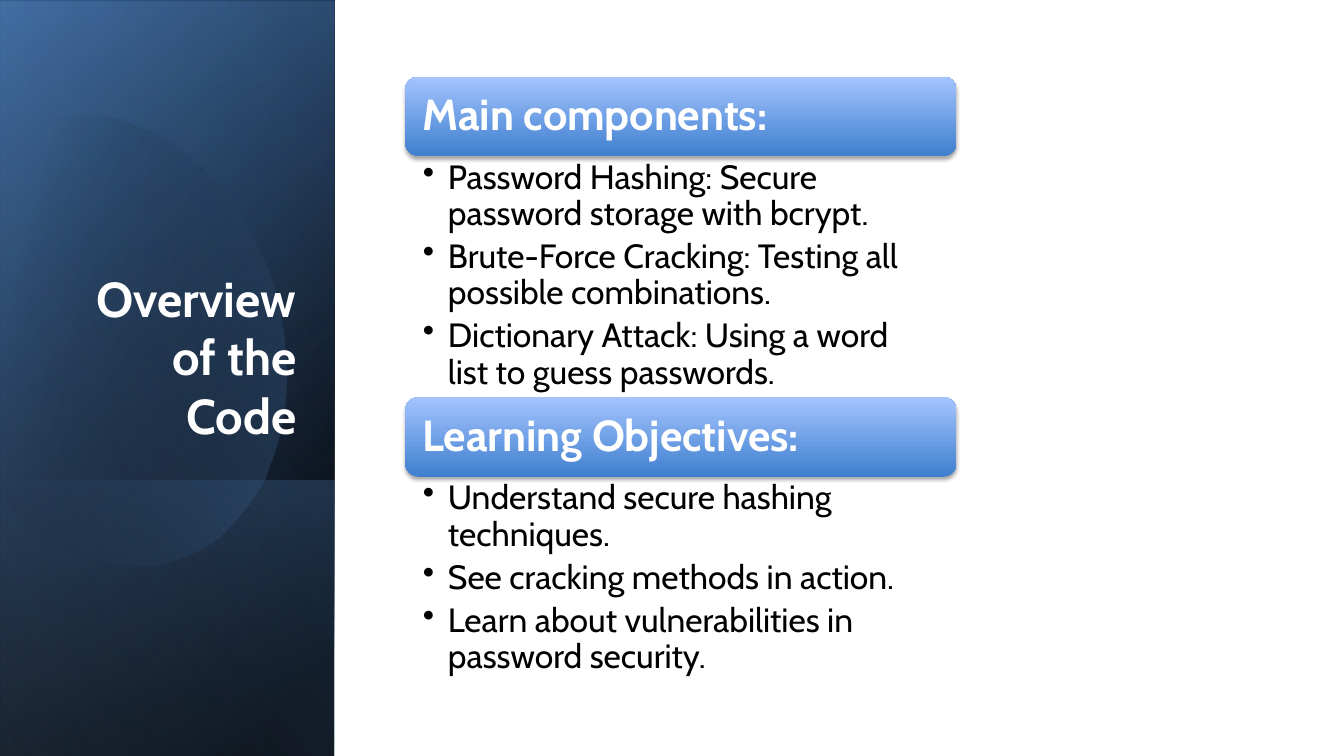
from math import cos, radians, sin

from lxml.etree import SubElement
from pptx import Presentation
from pptx.dml.color import RGBColor
from pptx.enum.shapes import MSO_SHAPE
from pptx.enum.text import MSO_ANCHOR, PP_ALIGN
from pptx.oxml.ns import qn
from pptx.util import Pt

BLACK = RGBColor(0x00, 0x00, 0x00)
WHITE = RGBColor(0xFF, 0xFF, 0xFF)
NAVY = RGBColor(0x37, 0x60, 0x92)
BLUE = RGBColor(0x4F, 0x81, 0xBD)
PALE_BLUE = RGBColor(0x95, 0xB3, 0xD7)
HEADING_DARK = RGBColor(0x3F, 0x7F, 0xCE)
HEADING_LIGHT = RGBColor(0xA4, 0xC4, 0xFF)

# Each band: left, top, width, height, clockwise gradient angle,
# then two stops of position, colour and opacity in percent.
BACK_BANDS = [
    (-150.5, 150.5, 540, 238.3, 50, [(8, BLACK, 100), (100, NAVY, 100)]),
    (-150.5, 151.9, 540, 238.3, 30, [(0, BLACK, 0), (99, BLUE, 46)]),
    (20.9, 322.6, 197.3, 238.3, 130, [(2, BLUE, 29), (100, BLACK, 30)]),
]
FRONT_BAND = (-150.5, 150.5, 540, 238.3, 120, [(0, BLACK, 0), (99, PALE_BLUE, 11)])

# The oval as it lies on the page: each entry is a line end or a cubic curve.
OVAL_START = (69.1, 82.1)
OVAL_SEGMENTS = [
    [(123.1, 87.8), (175.7, 138.2), (196.6, 208.8)],
    [(221, 296.6), (188.6, 382.3), (123.1, 401)],
    [(82.1, 413.3), (38.2, 396), (5, 360)],
    [(-2.2, 351.4)],
    [(-18, 119.5)],
    [(-10.8, 110.9)],
    [(1.4, 98.6), (15.8, 90), (32.4, 85)],
    [(44.6, 81.4), (56.9, 80.6), OVAL_START],
]
OVAL_CENTRE = (85.7, 240.8)
OVAL_TURN = -16.1
CURVE_STEPS = 16

SECTIONS = [
    ("Main components:", 172.1, [
        "Password Hashing: Secure password storage with bcrypt.",
        "Brute-Force Cracking: Testing all possible combinations.",
        "Dictionary Attack: Using a word list to guess passwords.",
    ]),
    ("Learning Objectives:", 144, [
        "Understand secure hashing techniques.",
        "See cracking methods in action.",
        "Learn about vulnerabilities in password security.",
    ]),
]
SECTION_LEFT, SECTION_TOP, SECTION_WIDTH = 289.5, 54.7, 393.8
HEADING_HEIGHT = 56.9


def curve_points(start, segments):
    """Return the outline as points, with each cubic curve sampled."""
    points = [start]
    for segment in segments:
        if len(segment) == 1:
            points += segment
            continue
        controls = [points[-1], *segment]
        for step in range(1, CURVE_STEPS + 1):
            t = step / CURVE_STEPS
            weights = ((1 - t) ** 3, 3 * t * (1 - t) ** 2, 3 * t * t * (1 - t), t ** 3)
            points.append(tuple(sum(w * c[axis] for w, c in zip(weights, controls))
                                for axis in (0, 1)))
    return points


def turn(point, centre, degrees):
    """Turn a point clockwise around a centre."""
    x, y = point[0] - centre[0], point[1] - centre[1]
    angle = radians(degrees)
    return (centre[0] + x * cos(angle) - y * sin(angle),
            centre[1] + x * sin(angle) + y * cos(angle))


class SlideBuilder:
    font = "Cabin"

    def __init__(self, page):
        self.page = page

    def paint(self, shape, angle, stops):
        """Give a shape a two-stop gradient, no line and no shadow."""
        shape.shadow.inherit = False
        shape.line.fill.background()
        shape.fill.gradient()
        shape.fill.gradient_angle = (360 - angle) % 360
        for stop, (position, color, _) in zip(shape.fill.gradient_stops, stops):
            stop.position = position / 100
            stop.color.rgb = color
        for color, (_, _, opacity) in zip(shape.element.spPr.iter(qn("a:srgbClr")), stops):
            if opacity < 100:
                SubElement(color, qn("a:alpha"), val=str(opacity * 1000))

    def band(self, left, top, width, height, angle, stops):
        shape = self.page.shapes.add_shape(
            MSO_SHAPE.RECTANGLE, Pt(left), Pt(top), Pt(width), Pt(height))
        shape.rotation = 90
        shape.element.spPr.find(qn("a:xfrm")).set("flipH", "1")
        self.paint(shape, angle, stops)

    def oval(self):
        points = [turn(point, OVAL_CENTRE, -OVAL_TURN)
                  for point in curve_points(OVAL_START, OVAL_SEGMENTS)]
        builder = self.page.shapes.build_freeform(*points[0], scale=Pt(1))
        builder.add_line_segments(points[1:], close=True)
        shape = builder.convert_to_shape()
        shape.rotation = OVAL_TURN
        self.paint(shape, 30, [(29, BLACK, 0), (100, BLUE, 43)])

    def fill_text(self, shape, lines, size, color, bold=False, margins=(7.2, 3.6, 7.2, 3.6),
                  anchor=MSO_ANCHOR.TOP, align=PP_ALIGN.LEFT, spacing=1.0, after=0,
                  bullet=False):
        frame = shape.text_frame
        frame.text = "\n".join(lines)
        frame.word_wrap = True
        frame.vertical_anchor = anchor
        (frame.margin_left, frame.margin_top,
         frame.margin_right, frame.margin_bottom) = map(Pt, margins)
        for para in frame.paragraphs:
            para.alignment = align
            para.line_spacing = spacing
            para.space_after = Pt(after)
            if bullet:
                properties = para._p.get_or_add_pPr()
                properties.set("marL", str(Pt(18)))
                properties.set("indent", str(-Pt(18)))
                SubElement(properties, qn("a:buChar"), char="•")
            for span in para.runs:
                span.font.name = self.font
                span.font.size = Pt(size)
                span.font.bold = bold
                span.font.color.rgb = color

    def text_box(self, left, top, width, height, lines, size, color, **style):
        box = self.page.shapes.add_textbox(Pt(left), Pt(top), Pt(width), Pt(height))
        self.fill_text(box, lines, size, color, **style)

    def heading(self, top, text):
        box = self.page.shapes.add_shape(
            MSO_SHAPE.ROUNDED_RECTANGLE, Pt(SECTION_LEFT), Pt(top),
            Pt(SECTION_WIDTH), Pt(HEADING_HEIGHT))
        self.paint(box, 270, [(0, HEADING_DARK, 100), (100, HEADING_LIGHT, 100)])
        effects = box.element.spPr.find(qn("a:effectLst"))
        shadow = SubElement(effects, qn("a:outerShdw"), blurRad=str(Pt(3.1)),
                            dist=str(Pt(1.8)), dir="5400000", rotWithShape="0")
        color = SubElement(shadow, qn("a:srgbClr"), val=str(BLACK))
        SubElement(color, qn("a:alpha"), val="35000")
        self.fill_text(box, [text], 31, WHITE, bold=True, margins=(9.4,) * 4,
                       anchor=MSO_ANCHOR.MIDDLE, spacing=0.9)

    def bullets(self, top, height, lines):
        self.text_box(SECTION_LEFT, top, SECTION_WIDTH, height, lines, 24, BLACK,
                      margins=(12.5, 2.9, 17.3, 2.9), spacing=0.9, after=4.8, bullet=True)


def main():
    deck = Presentation()
    deck.slide_width, deck.slide_height = Pt(960), Pt(540)
    builder = SlideBuilder(deck.slides.add_slide(deck.slide_layouts[6]))

    for band in BACK_BANDS:
        builder.band(*band)
    builder.oval()
    builder.band(*FRONT_BAND)
    builder.text_box(34.6, 132.5, 184.3, 188.6, ["Overview of the Code"], 35, WHITE,
                     bold=True, anchor=MSO_ANCHOR.BOTTOM, align=PP_ALIGN.RIGHT)

    top = SECTION_TOP
    for title, list_height, lines in SECTIONS:
        builder.heading(top, title)
        builder.bullets(top + HEADING_HEIGHT, list_height, lines)
        top += HEADING_HEIGHT + list_height
    deck.save("out.pptx")


if __name__ == "__main__":
    main()
